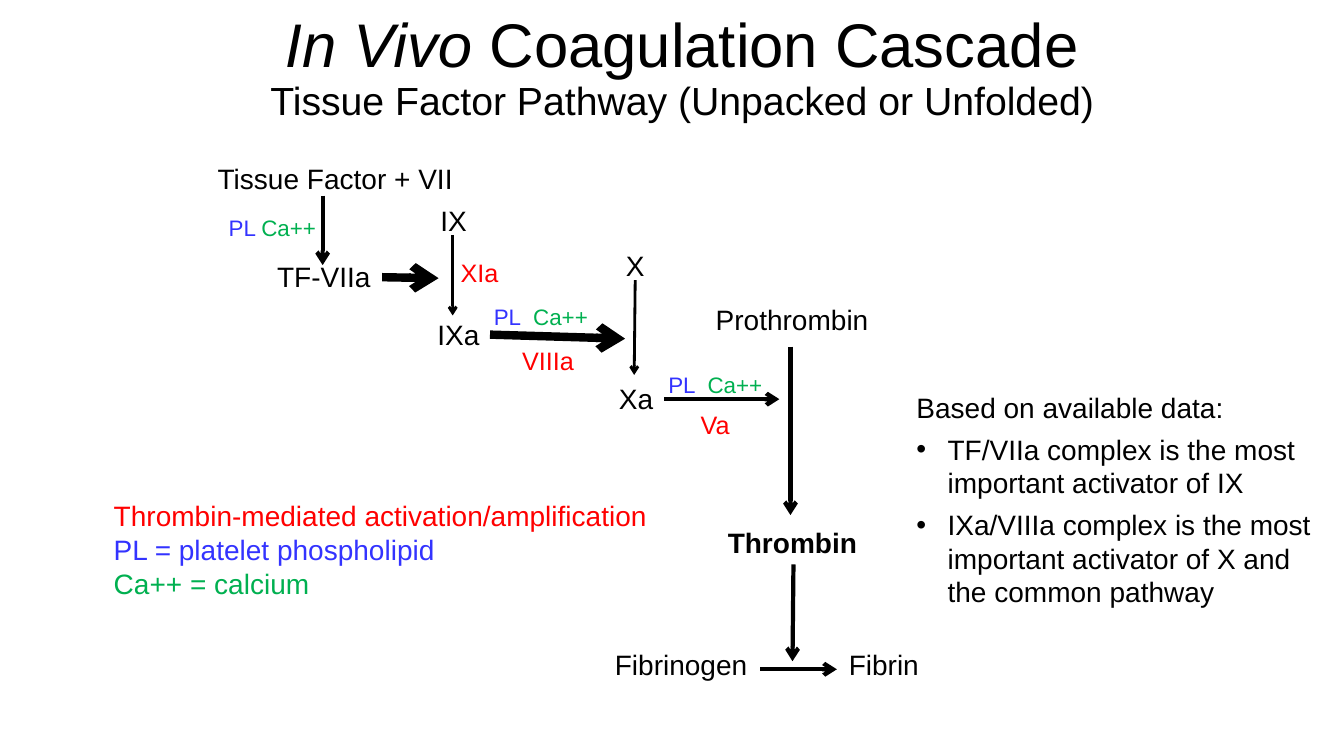
from dataclasses import dataclass

from lxml import etree
from pptx import Presentation
from pptx.dml.color import RGBColor
from pptx.enum.shapes import MSO_CONNECTOR
from pptx.enum.text import MSO_ANCHOR, MSO_AUTO_SIZE, PP_ALIGN
from pptx.oxml.ns import qn
from pptx.util import Inches, Pt

LINE = MSO_CONNECTOR.STRAIGHT
MIDDLE = MSO_ANCHOR.MIDDLE
GROW = MSO_AUTO_SIZE.SHAPE_TO_FIT_TEXT
LEFT, CENTER = PP_ALIGN.LEFT, PP_ALIGN.CENTER
BOTTOM, RIGHT = 2, 3


@dataclass(frozen=True)
class Theme:
    font: str = "Arial"
    black: str = "000000"
    red: str = "FF0000"
    blue: str = "3333FF"
    green: str = "00B050"
    title: int = 44
    sub: int = 28
    body: int = 20
    factor: int = 18
    small: int = 16
    thin: int = 2
    mid: int = 3
    thick: int = 6


class Board:
    """Draws on a slide; lengths are columns and rows of a 0.1 inch grid."""

    cell = Inches(0.1)

    def __init__(self, slide, theme):
        self.slide = slide
        self.theme = theme

    def grid(self, *steps):
        return [round(step * self.cell) for step in steps]

    def style(self, font, size, color):
        font.name = self.theme.font
        font.size = Pt(size)
        font.color.rgb = RGBColor.from_string(color)

    def box(self, area, wrap=False):
        shape = self.slide.shapes.add_textbox(*self.grid(*area))
        shape.text_frame.word_wrap = wrap
        shape.text_frame.auto_size = GROW
        return shape

    def label(self, text, x, y, wide, size=None, color=None, bold=False):
        size = size or self.theme.body
        shape = self.box((x, y, wide, 4.4 if size == self.theme.body else 4))
        para = shape.text_frame.paragraphs[0]
        para.text = text
        self.style(para.font, size, color or self.theme.black)
        para.font.bold = bold
        return shape

    def helpers(self, x, y, gap=None):
        """Phospholipid and calcium, parted by a space or a tab stop."""
        para = self.box((x, y, 11.4, 3.7)).text_frame.paragraphs[0]
        if gap:
            tabs = etree.SubElement(para._p.get_or_add_pPr(), qn("a:tabLst"))
            stop = self.grid(gap)[0]
            etree.SubElement(tabs, qn("a:tab"), pos=str(stop), algn="l")
        parts = (("PL\t" if gap else "PL ", self.theme.blue),
                 ("Ca++", self.theme.green))
        for text, color in parts:
            run = para.add_run()
            run.text = text
            self.style(run.font, self.theme.small, color)

    def arrow(self, start, end, width, source=None, side=RIGHT):
        link = self.slide.shapes.add_connector(
            LINE, *self.grid(*start), *self.grid(*end))
        if source is not None:
            link.begin_connect(source, side)
        link.line.width = Pt(width)
        link.line.color.rgb = RGBColor.from_string(self.theme.black)
        etree.SubElement(link.line._get_or_add_ln(), qn("a:tailEnd"),
                         type="arrow")
        etree.SubElement(link._element.spPr, qn("a:effectLst"))

    def title(self, area, lead, rest, sub):
        frame = self.box(area, wrap=True).text_frame
        frame.auto_size = MSO_AUTO_SIZE.NONE
        frame.vertical_anchor = MIDDLE
        para = frame.paragraphs[0]
        para.alignment = CENTER
        para.line_spacing = 0.9
        for text, size in ((lead, self.theme.title), (rest, self.theme.title),
                           (sub, self.theme.sub)):
            if text == sub:
                para.add_line_break()
            run = para.add_run()
            run.text = text
            self.style(run.font, size, self.theme.black)
            run.font.italic = text == lead

    def lines(self, area, rows, wrap=False, after=0, indent=0):
        """Paragraphs of (text, color, bulleted)."""
        frame = self.box(area, wrap).text_frame
        for num, (text, color, dot) in enumerate(rows):
            para = frame.add_paragraph() if num else frame.paragraphs[0]
            para.text = text
            para.alignment = LEFT
            para.space_after = Pt(after)
            if dot:
                props = para._p.get_or_add_pPr()
                step = self.grid(indent)[0]
                props.set("marL", str(step))
                props.set("indent", str(-step))
                etree.SubElement(props, qn("a:buFont"), typeface="Arial")
                etree.SubElement(props, qn("a:buChar"), char="•")
            self.style(para.font, self.theme.body, color)


def main():
    deck = Presentation()
    deck.slide_width, deck.slide_height = Inches(13.33), Inches(7.5)
    look = Theme()
    board = Board(deck.slides.add_slide(deck.slide_layouts[6]), look)

    # Title
    board.title((25.4, 0.9, 84.5, 11.9), "In Vivo ", "Coagulation Cascade",
                "Tissue Factor Pathway (Unpacked or Unfolded)")

    # Factors
    spots = (
        ("Tissue Factor + VII", 20.6, 15.5, 25.5),
        ("TF-VIIa", 26.5, 25.3, 11.4),
        ("IX", 42.7, 19.7, 4.7),
        ("IXa", 42.4, 31, 6.2),
        ("X", 61.1, 24.2, 3.9),
        ("Xa", 60.4, 37.4, 5.5),
        ("Prothrombin", 70, 29.5, 17.3),
        ("Fibrinogen", 60, 63.7, 15.3),
        ("Fibrin", 83.2, 63.7, 9),
    )
    nodes = {spot[0]: board.label(*spot) for spot in spots}
    thrombin = board.label("Thrombin", 71.2, 51.6, 15, bold=True)

    # Thrombin-activated factors
    for name, x, y, wide in (("XIa", 44.7, 25, 5.8),
                             ("VIIIa", 50.8, 33.8, 7.2),
                             ("Va", 68.5, 40.1, 4.9)):
        board.label(name, x, y, wide, look.factor, look.red)

    # Phospholipid and calcium
    board.helpers(21.7, 20.8)
    board.helpers(48, 29.6, gap=3.9)
    board.helpers(65.3, 36.3, gap=3.9)

    # Conversions
    for start, end, width in (
        ((32, 19.4), (32, 26.3), look.mid),
        ((44.9, 23.3), (44.9, 31.3), look.thin),
        ((63, 27.8), (62.9, 37.2), look.thin),
        ((78.4, 34.4), (78.4, 51.1), look.mid),
        ((75.4, 66.4), (83, 66.4), look.mid),
    ):
        board.arrow(start, end, width)

    # Activations
    board.arrow((37.9, 27.6), (43.5, 27.6), look.thick, nodes["TF-VIIa"])
    board.arrow((48.7, 33.4), (62, 33.6), look.thick, nodes["IXa"])
    board.arrow((66.2, 39.6), (77.3, 39.6), look.mid, nodes["Xa"])
    board.arrow((78.6, 56.2), (78.6, 65.6), look.mid, thrombin, BOTTOM)

    # Color key
    board.lines((10.3, 49, 55.3, 11.1), (
        ("Thrombin-mediated activation/amplification", look.red, False),
        ("PL = platelet phospholipid", look.blue, False),
        ("Ca++ = calcium", look.green, False),
    ))

    # Findings
    board.lines((89.9, 38.2, 41.2, 26.4), (
        ("Based on available data:", look.black, False),
        ("TF/VIIa complex is the most important activator of IX",
         look.black, True),
        ("IXa/VIIIa complex is the most important activator of X "
         "and the common pathway", look.black, True),
    ), wrap=True, after=6, indent=3.1)

    deck.save("out.pptx")


if __name__ == "__main__":
    main()
